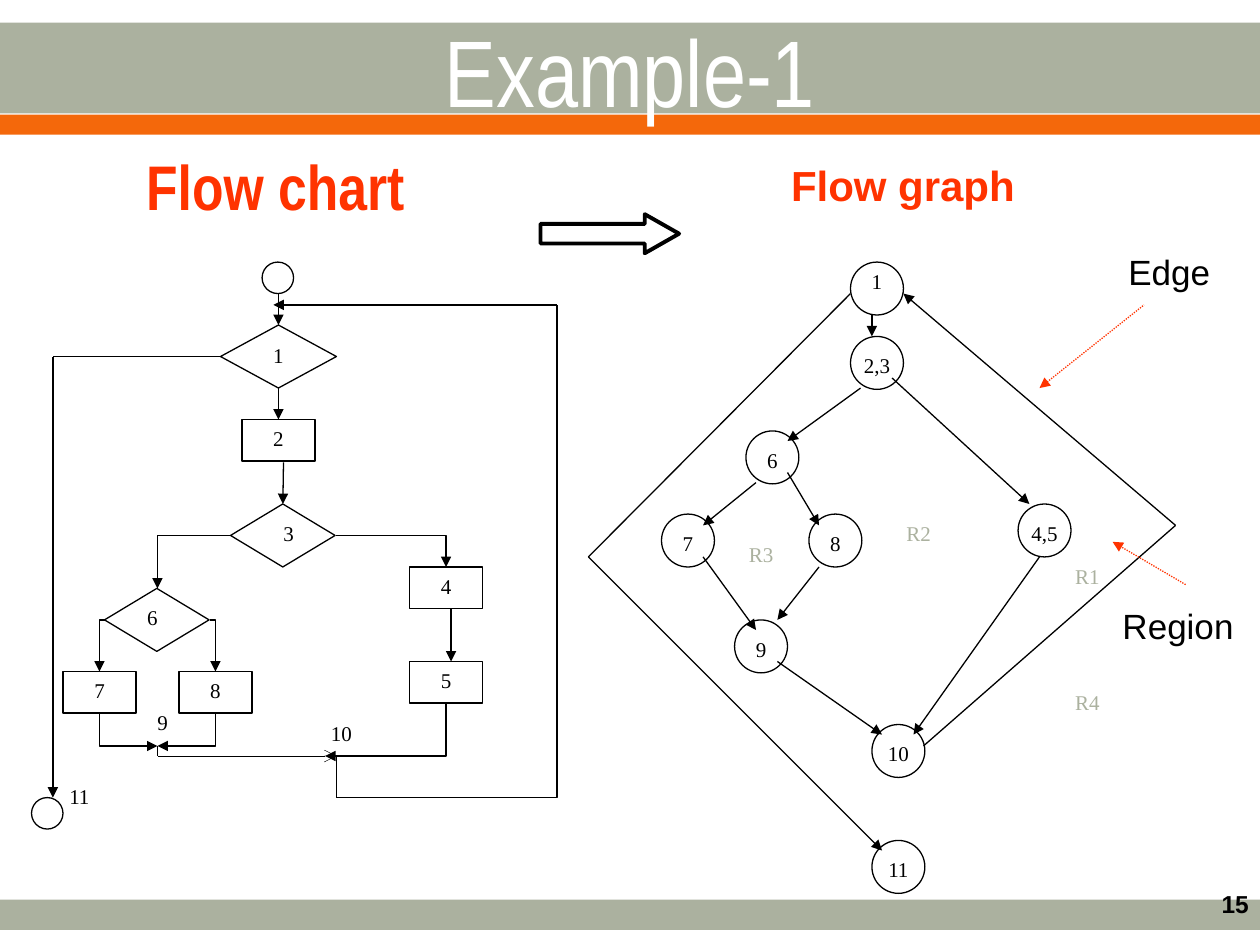
"""Build a slide that sets a flow chart beside its flow graph."""
import dataclasses

import pptx
import pptx.dml.color
import pptx.enum.dml
import pptx.enum.shapes
import pptx.enum.text
import pptx.oxml
import pptx.oxml.ns
import pptx.util

Inches = pptx.util.Inches
Kind = pptx.enum.shapes.MSO_SHAPE
Link = pptx.enum.shapes.MSO_CONNECTOR
Align = pptx.enum.text.PP_ALIGN
Anchor = pptx.enum.text.MSO_ANCHOR
TOP, LEFT, BOTTOM = 0, 1, 2


@dataclasses.dataclass(frozen=True)
class Theme:
    ink: str = "000000"
    white: str = "FFFFFF"
    sage: str = "ABB19F"
    orange: str = "F4680B"
    red: str = "FF3300"
    sans: str = "Arial"
    slim: str = "Arial Narrow"
    serif: str = "Times New Roman"
    banner: int = 54
    title: int = 36
    head: int = 24
    note: int = 20
    page: int = 14
    label: int = 12
    thin: float = 0.75
    hair: float = 0.25
    thick: float = 2.25


class Board:
    def __init__(self, slide, theme):
        self.slide = slide
        self.theme = theme

    def tint(self, color, code):
        color.rgb = pptx.dml.color.RGBColor.from_string(code)

    def band(self, top, height, code):
        bar = self.slide.shapes.add_shape(
            Kind.RECTANGLE, 0, Inches(top), Inches(10), Inches(height))
        bar.shadow.inherit = False
        bar.fill.solid()
        self.tint(bar.fill.fore_color, code)
        bar.line.fill.background()

    def shape(self, kind, x, y, w, h, width=None):
        item = self.slide.shapes.add_shape(
            kind, Inches(x), Inches(y), Inches(w), Inches(h))
        item.shadow.inherit = False
        item.fill.background()
        self.tint(item.line.color, self.theme.ink)
        item.line.width = pptx.util.Pt(width or self.theme.thin)
        return item

    def words(self, frame, text, size, face, code, bold=False, align=Align.LEFT):
        frame.word_wrap = True
        para = frame.paragraphs[0]
        para.alignment = align
        run = para.add_run()
        run.text = text
        run.font.size = pptx.util.Pt(size)
        run.font.name = face
        run.font.bold = bold
        self.tint(run.font.color, code)

    def title(self, text, x, y, w, h):
        item = self.slide.shapes.title
        item.left, item.top, item.width, item.height = map(Inches, (x, y, w, h))
        item.text_frame.vertical_anchor = Anchor.MIDDLE
        item.text_frame.auto_size = pptx.enum.text.MSO_AUTO_SIZE.NONE
        self.words(item.text_frame, text, self.theme.title, self.theme.slim,
                   self.theme.red, True)

    def text(self, text, box, *style, anchor=Anchor.TOP, **more):
        item = self.slide.shapes.add_textbox(*map(Inches, box))
        item.text_frame.vertical_anchor = anchor
        self.words(item.text_frame, text, *style, **more)

    def label(self, text, x, y, code=None):
        self.text(text, (x, y, 0.42, 0.3), self.theme.label, self.theme.serif,
                  code or self.theme.ink, align=Align.CENTER)

    def note(self, text, x, y, w):
        self.text(text, (x, y, w, 0.43), self.theme.note, self.theme.sans,
                  self.theme.ink, align=Align.CENTER)

    def finish(self, link, code, width, end, tip):
        self.tint(link.line.color, code)
        link.line.width = pptx.util.Pt(width)
        form = link._element.spPr
        if end:
            mark = pptx.oxml.parse_xml(
                f'<a:{end} {pptx.oxml.ns.nsdecls("a")} type="{tip}"/>')
            form.find(pptx.oxml.ns.qn("a:ln")).append(mark)
        form.append(pptx.oxml.parse_xml(
            f'<a:effectLst {pptx.oxml.ns.nsdecls("a")}/>'))

    def line(self, start, stop, end="tailEnd", tip="triangle", code=None,
             width=None, dots=False, begin=None, reach=None):
        link = self.slide.shapes.add_connector(
            Link.STRAIGHT, *map(Inches, (*start, *stop)))
        if begin:
            link.begin_connect(*begin)
        if reach:
            link.end_connect(*reach)
        if dots:
            link.line.dash_style = pptx.enum.dml.MSO_LINE.ROUND_DOT
        self.finish(link, code or self.theme.ink, width or self.theme.thin, end, tip)

    def bend(self, start, stop, down=False, end="tailEnd"):
        (x1, y1), (x2, y2) = start, stop
        points = (x1, y1, x2, y2)
        if down:
            mid_x, mid_y = (x1 + x2) / 2, (y1 + y2) / 2
            half_w, half_h = (y2 - y1) / 2, abs(x2 - x1) / 2
            points = (mid_x - half_w, mid_y - half_h, mid_x + half_w, mid_y + half_h)
        link = self.slide.shapes.add_connector(Link.ELBOW, *map(Inches, points))
        form = link._element.spPr
        form.find(pptx.oxml.ns.qn("a:prstGeom")).set("prst", "bentConnector2")
        if down:
            frame = form.find(pptx.oxml.ns.qn("a:xfrm"))
            frame.set("rot", "5400000")
            if x2 > x1:
                frame.set("flipV", "1")
        self.finish(link, self.theme.ink, self.theme.thin, end, "triangle")


def draw_chart(board):
    board.shape(Kind.FLOWCHART_CONNECTOR, 2.08, 2.08, 0.25, 0.25)
    board.shape(Kind.OVAL, 0.25, 6.33, 0.25, 0.25)
    tests = {name: board.shape(Kind.FLOWCHART_DECISION, x, y, w, 0.5)
             for name, x, y, w in (("1", 1.75, 2.58, 0.92), ("3", 1.83, 4, 0.83),
                                   ("6", 0.83, 4.67, 0.83))}
    steps = {name: board.shape(Kind.FLOWCHART_PROCESS, x, y, 0.58, 0.33)
             for name, x, y in (("2", 1.92, 3.33), ("4", 3.25, 4.5), ("5", 3.25, 5.25),
                                ("7", 0.5, 5.33), ("8", 1.42, 5.33))}
    board.line((2.21, 2.33), (2.21, 2.58), reach=(tests["1"], TOP))
    board.line((2.21, 3.08), (2.21, 3.33), begin=(tests["1"], BOTTOM),
               reach=(steps["2"], TOP))
    board.line((2.25, 3.67), (2.25, 4), reach=(tests["3"], TOP))
    board.line((3.58, 4.83), (3.58, 5.25))
    for start, stop in (((1.83, 4.25), (1.25, 4.67)), ((2.67, 4.25), (3.54, 4.5)),
                        ((0.83, 4.92), (0.79, 5.33)), ((1.67, 4.92), (1.71, 5.33))):
        board.bend(start, stop)
    for start, stop in (((0.79, 5.67), (1.25, 5.92)), ((1.71, 5.67), (1.25, 5.92)),
                        ((3.54, 5.58), (2.58, 6))):
        board.bend(start, stop, down=True)
    board.line((1.25, 5.92), (1.25, 6), end=None)
    board.line((1.25, 6), (2.67, 6), tip="arrow", width=board.theme.hair)
    board.line((2.67, 6), (2.67, 6.33), end=None)
    board.bend((4.42, 4), (2.67, 6.33), down=True, end=None)
    board.line((4.42, 4), (4.42, 2.42), end=None)
    board.line((4.42, 2.42), (2.17, 2.42))
    board.line((1.75, 2.83), (0.42, 2.83), end=None, begin=(tests["1"], LEFT))
    board.line((0.42, 2.83), (0.42, 6.33))
    for text, x, y in (("1", 2, 2.67), ("2", 2, 3.33), ("3", 2.08, 4.08),
                       ("4", 3.33, 4.5), ("5", 3.33, 5.25), ("6", 1, 4.75),
                       ("7", 0.58, 5.33), ("8", 1.5, 5.33), ("9", 1.08, 5.58),
                       ("10", 2.5, 5.67), ("11", 0.42, 6.17)):
        board.label(text, x, y)


def draw_graph(board):
    for text, x, y, drop in (
            ("1", 6.75, 2.08, 0), ("2,3", 6.75, 2.67, 0.08), ("6", 5.92, 3.42, 0.08),
            ("7", 5.25, 4.08, 0.08), ("8", 6.42, 4.08, 0.08), ("4,5", 8.08, 4, 0.08),
            ("9", 5.83, 4.92, 0.08), ("10", 6.92, 5.75, 0.08), ("11", 6.92, 6.67, 0.08)):
        board.shape(Kind.FLOWCHART_CONNECTOR, x, y, 0.42, 0.42)
        board.label(text, x, y + drop)
    for start, stop in (
            ((6.92, 2.5), (6.92, 2.67)), ((6.83, 3.08), (6.25, 3.5)),
            ((6, 3.83), (5.58, 4.17)), ((5.58, 4.42), (6, 5)),
            ((6.25, 3.75), (6.5, 4.17)), ((6.5, 4.5), (6.17, 4.92)),
            ((6.17, 5.25), (7, 5.83)), ((8.25, 4.42), (7.25, 5.83)),
            ((7.08, 3), (8.17, 4))):
        board.line(start, stop)
    for start, turn, stop in (((6.75, 2.33), (4.67, 4.42), (7, 6.75)),
                              ((7.33, 5.92), (9.33, 4.17), (7.17, 2.33))):
        board.line(start, turn, end=None)
        board.line(turn, stop)
    for text, x, y in (("R1", 8.42, 4.42), ("R2", 7.08, 4.08),
                       ("R3", 5.83, 4.25), ("R4", 8.42, 5.42)):
        board.label(text, x, y, board.theme.sage)
    board.note("Edge", 8.78, 1.94, 1)
    board.line((8.25, 3.08), (9.08, 2.42), end="headEnd", code=board.theme.red, dots=True)
    board.note("Region", 8.78, 4.75, 1.14)
    board.line((9.41, 4.64), (8.83, 4.3), code=board.theme.red, dots=True)


def main():
    deck = pptx.Presentation()
    deck.slide_width, deck.slide_height = Inches(10), Inches(7.5)
    theme = Theme()
    board = Board(deck.slides.add_slide(deck.slide_layouts[5]), theme)
    for top, height, code in ((7.14, 0.24, theme.sage), (0.18, 0.72, theme.sage),
                              (0.91, 0.16, theme.orange)):
        board.band(top, height, code)
    board.text("15", (7.68, 7.01, 2.33, 0.52), theme.page, theme.sans, theme.ink,
               bold=True, align=Align.RIGHT)
    board.title("Flow chart", 1.06, 1.07, 2.27, 0.8)
    draw_chart(board)
    draw_graph(board)
    board.text("Example-1", (0, 0.05, 10, 1.01), theme.banner, theme.slim, theme.white,
               align=Align.CENTER, anchor=Anchor.MIDDLE)
    board.text("Flow graph", (6.18, 1.07, 2.36, 0.79), theme.head, theme.sans, theme.red,
               bold=True, anchor=Anchor.MIDDLE)
    arrow = board.shape(Kind.RIGHT_ARROW, 4.29, 1.7, 1.1, 0.31, theme.thick)
    arrow.adjustments[1] = 0.88
    deck.save("out.pptx")


if __name__ == "__main__":
    main()
